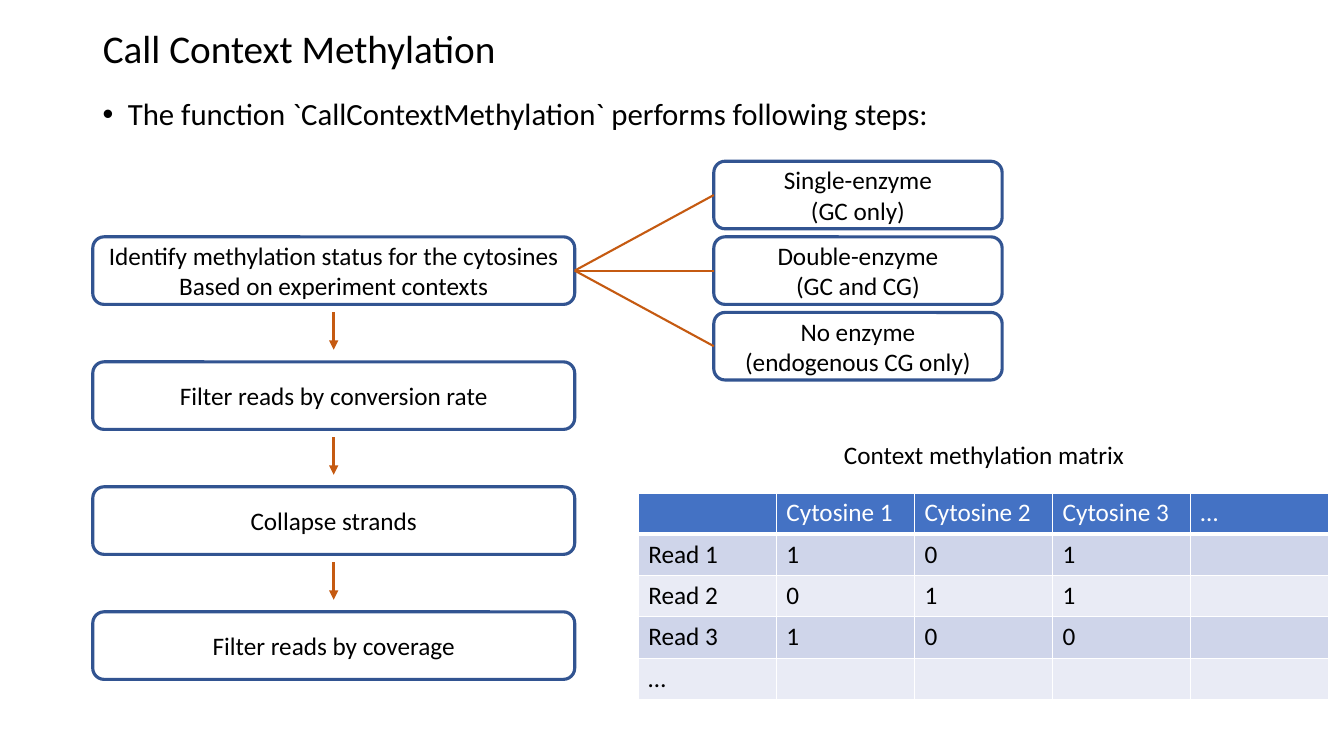
import pptx
import pptx.util
import pptx.dml.color
import pptx.enum.shapes
import pptx.enum.text
import pptx.oxml
import pptx.oxml.ns
import lxml.etree

RGBColor = pptx.dml.color.RGBColor
BLACK = RGBColor(0x00, 0x00, 0x00)
WHITE = RGBColor(0xFF, 0xFF, 0xFF)
OUTLINE_BLUE = RGBColor(0x32, 0x54, 0x91)
ORANGE = RGBColor(0xC5, 0x5A, 0x11)
HEADER_BLUE = RGBColor(0x44, 0x72, 0xC4)
BANDS = RGBColor(0xCF, 0xD5, 0xEA), RGBColor(0xE9, 0xEB, 0xF5)
FONT = "Calibri"
EMU_PER_PX = 9144

BOX_HEIGHT = 67
STEP_LEFT, STEP_TOP, STEP_WIDTH, STEP_PITCH = 92, 235, 478, 124
CONTEXT_LEFT, CONTEXT_WIDTH, CONTEXT_PITCH = 708, 286, 75
STEPS = [
    ["Identify methylation status for the cytosines", "Based on experiment contexts"],
    ["Filter reads by conversion rate"],
    ["Collapse strands"],
    ["Filter reads by coverage"],
]
CONTEXTS = [
    ["Single-enzyme", "(GC only)"],
    ["Double-enzyme", "(GC and CG)"],
    ["No enzyme", "(endogenous CG only)"],
]
MATRIX = [
    ["", "Cytosine 1", "Cytosine 2", "Cytosine 3", "…"],
    ["Read 1", "1", "0", "1", ""],
    ["Read 2", "0", "1", "1", ""],
    ["Read 3", "1", "0", "0", ""],
    ["…", "", "", "", ""],
]


def px(length):
    return pptx.util.Emu(length * EMU_PER_PX)


def add_run(paragraph, text, size=18, color=BLACK):
    run = paragraph.add_run()
    run.text = text
    run.font.name = FONT
    run.font.size = pptx.util.Pt(size)
    run.font.bold = False
    run.font.color.rgb = color


def set_title(slide, text):
    title = slide.shapes.title
    title.left, title.top, title.width, title.height = px(92), px(0), px(1150), px(100)
    frame = title.text_frame
    frame.auto_size = pptx.enum.text.MSO_AUTO_SIZE.NONE
    frame.vertical_anchor = pptx.enum.text.MSO_ANCHOR.MIDDLE
    paragraph = frame.paragraphs[0]
    paragraph.alignment = pptx.enum.text.PP_ALIGN.LEFT
    paragraph.line_spacing = 0.9
    add_run(paragraph, text, 28)


def add_bullet(slide, text):
    intro = slide.shapes.add_textbox(px(92), px(93), px(1150), px(542))
    intro.text_frame.word_wrap = True
    paragraph = intro.text_frame.paragraphs[0]
    paragraph.line_spacing = 0.9
    properties = paragraph._p.get_or_add_pPr()
    properties.set("marL", str(px(25)))
    properties.set("indent", str(px(-25)))
    bullet_font = lxml.etree.SubElement(properties, pptx.oxml.ns.qn("a:buFont"))
    bullet_font.set("typeface", "Arial")
    bullet = lxml.etree.SubElement(properties, pptx.oxml.ns.qn("a:buChar"))
    bullet.set("char", "•")
    add_run(paragraph, text, 22)


def add_box(slide, left, top, width, lines, outline=OUTLINE_BLUE):
    box = slide.shapes.add_shape(
        pptx.enum.shapes.MSO_SHAPE.ROUNDED_RECTANGLE,
        px(left), px(top), px(width), px(BOX_HEIGHT))
    box.shadow.inherit = False
    box.fill.background()
    if outline is None:
        box.line.fill.background()
    else:
        box.line.color.rgb = outline
        box.line.width = pptx.util.Pt(2.25)
    frame = box.text_frame
    frame.word_wrap = True
    frame.vertical_anchor = pptx.enum.text.MSO_ANCHOR.MIDDLE
    for index, line in enumerate(lines):
        paragraph = frame.add_paragraph() if index else frame.paragraphs[0]
        paragraph.alignment = pptx.enum.text.PP_ALIGN.CENTER
        add_run(paragraph, line)
    return box


def add_line(slide, start, end, weight):
    line = slide.shapes.add_connector(
        pptx.enum.shapes.MSO_CONNECTOR.STRAIGHT, *map(px, start + end))
    line.line.color.rgb = ORANGE
    line.line.width = pptx.util.Pt(weight)
    lxml.etree.SubElement(line._element.spPr, pptx.oxml.ns.qn("a:effectLst"))
    return line


def add_branch(slide, step, context):
    branch = add_line(slide, (0, 0), (0, 0), 1.5)
    branch.begin_connect(step, 3)
    branch.end_connect(context, 1)


def add_arrow(slide, x, top, bottom):
    arrow = add_line(slide, (x, top), (x, bottom), 2.25)
    tail = lxml.etree.SubElement(arrow.line._get_or_add_ln(), pptx.oxml.ns.qn("a:tailEnd"))
    tail.set("type", "triangle")


def set_borders(cell, bottom_weight):
    properties = cell._tc.get_or_add_tcPr()
    for side, weight in (("L", 1), ("R", 1), ("T", 1), ("B", bottom_weight)):
        properties.append(pptx.oxml.parse_xml(
            f'<a:ln{side} {pptx.oxml.ns.nsdecls("a")} w="{pptx.util.Pt(weight)}">'
            f'<a:solidFill><a:srgbClr val="{WHITE}"/></a:solidFill></a:ln{side}>'))


def add_matrix(slide, left, top, column_width, row_height):
    rows, columns = len(MATRIX), len(MATRIX[0])
    matrix = slide.shapes.add_table(
        rows, columns, px(left), px(top),
        px(column_width * columns), px(row_height * rows)).table
    matrix.horz_banding = False
    for column in matrix.columns:
        column.width = px(column_width)
    for row, values in enumerate(MATRIX):
        matrix.rows[row].height = px(row_height)
        for column, value in enumerate(values):
            cell = matrix.cell(row, column)
            set_borders(cell, 1 if row else 3)
            cell.fill.solid()
            cell.fill.fore_color.rgb = BANDS[(row - 1) % 2] if row else HEADER_BLUE
            if value:
                add_run(cell.text_frame.paragraphs[0], value, color=BLACK if row else WHITE)


def main():
    presentation = pptx.Presentation()
    presentation.slide_width, presentation.slide_height = px(1333), px(750)
    slide = presentation.slides.add_slide(presentation.slide_layouts[5])
    set_title(slide, "Call Context Methylation")
    add_bullet(slide, "The function `CallContextMethylation` performs following steps:")

    steps = [add_box(slide, STEP_LEFT, STEP_TOP + STEP_PITCH * index, STEP_WIDTH, lines)
             for index, lines in enumerate(STEPS)]
    for index, lines in enumerate(CONTEXTS):
        context = add_box(slide, CONTEXT_LEFT, STEP_TOP + CONTEXT_PITCH * (index - 1),
                          CONTEXT_WIDTH, lines)
        add_branch(slide, steps[0], context)
    for index in range(len(STEPS) - 1):
        top = STEP_TOP + STEP_PITCH * index
        add_arrow(slide, STEP_LEFT + STEP_WIDTH // 2, top + 75, top + 112)

    add_matrix(slide, 633, 489, 137, 41)
    add_box(slide, 737, 417, STEP_WIDTH, ["Context methylation matrix"], outline=None)
    presentation.save("out.pptx")


if __name__ == "__main__":
    main()
